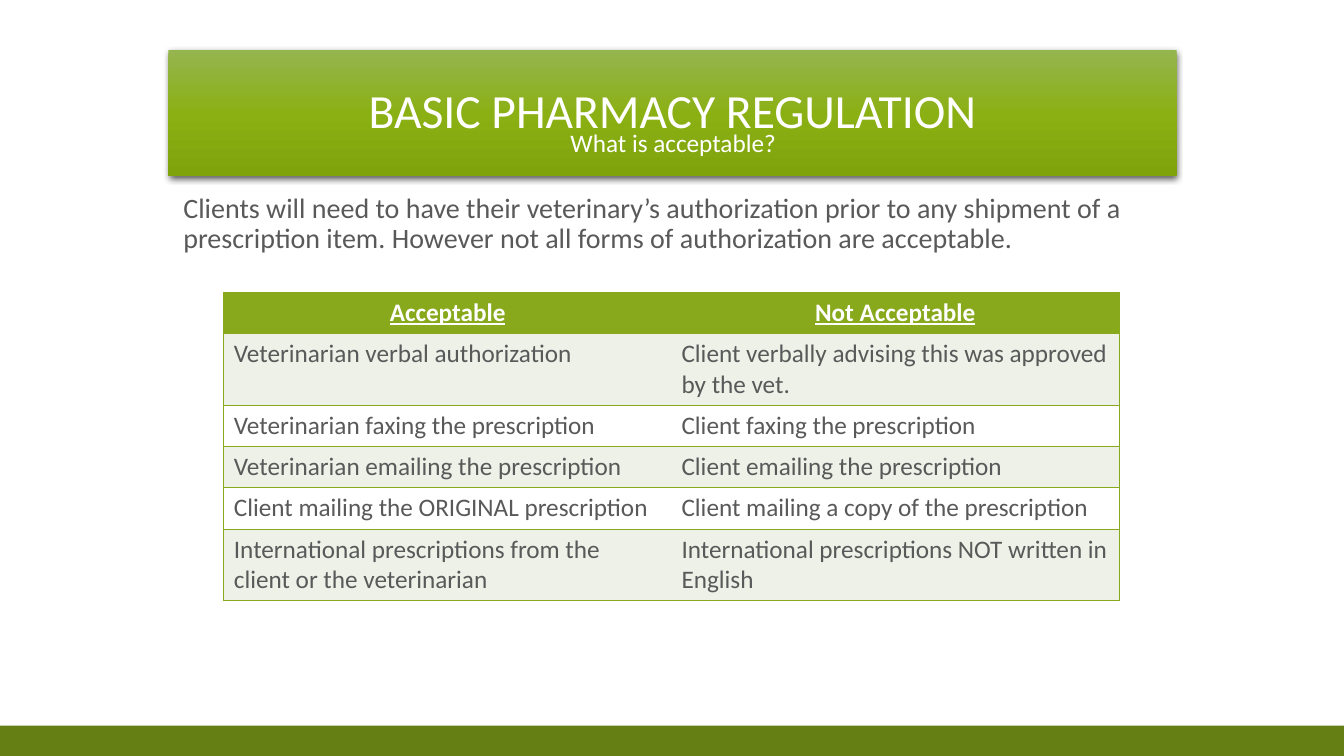
import pptx
import pptx.util
import pptx.dml.color
import pptx.enum.shapes
import pptx.enum.text
import pptx.oxml
import pptx.oxml.ns
from pptx.util import Inches

TITLE = "BASIC PHARMACY REGULATION"
SUBTITLE = "What is acceptable?"
INTRODUCTION = (
    "Clients will need to have their veterinary’s authorization prior to any shipment "
    "of a prescription item. However not all forms of authorization are acceptable."
)
ROWS = [
    ("Acceptable", "Not Acceptable"),
    ("Veterinarian verbal authorization", "Client verbally advising this was approved by the vet."),
    ("Veterinarian faxing the prescription", "Client faxing the prescription"),
    ("Veterinarian emailing the prescription", "Client emailing the prescription"),
    ("Client mailing the ORIGINAL prescription", "Client mailing a copy of the prescription"),
    ("International prescriptions from the client or the veterinarian",
     "International prescriptions NOT written in English"),
]
TWO_LINE_ROWS = (1, 5)

THEME = {
    "font": "Calibri",
    "title_size": 34,
    "body_size": 20,
    "small_size": 18,
    "white": "FFFFFF",
    "text": "595959",
    "green": "87A91B",
    "band": "EDF1E8",
    "footer": "657F14",
    "gradient": [(0, "95B54E"), (50, "8BB014"), (100, "7FA30B")],
}

SLIDE_WIDTH, SLIDE_HEIGHT = 13.33, 7.5
FOOTER_HEIGHT = 0.3
CONTENT_LEFT, CONTENT_WIDTH = 1.67, 10
TABLE_LEFT, TABLE_TOP, COLUMN_WIDTH = 2.22, 2.9, 4.44
LINE_HEIGHT, TWO_LINE_HEIGHT = 0.41, 0.71
ALIGN = pptx.enum.text.PP_ALIGN


def color(name):
    return pptx.dml.color.RGBColor.from_string(THEME.get(name, name))


def drawing_xml(xml):
    return pptx.oxml.parse_xml(xml.replace(" ", f" {pptx.oxml.ns.nsdecls('a')} ", 1))


def write(text_frame, text, size, color_name, align=ALIGN.LEFT, bold=False, underline=False):
    text_frame.text = text
    text_frame.word_wrap = True
    paragraph = text_frame.paragraphs[0]
    paragraph.alignment = align
    font = paragraph.runs[0].font
    font.name = THEME["font"]
    font.size = pptx.util.Pt(THEME[size])
    font.color.rgb = color(color_name)
    font.bold = bold
    font.underline = underline
    return paragraph


def add_rectangle(slide, left, top, width, height):
    shape = slide.shapes.add_shape(
        pptx.enum.shapes.MSO_SHAPE.RECTANGLE,
        Inches(left), Inches(top), Inches(width), Inches(height))
    shape.line.fill.background()
    shape.shadow.inherit = False
    return shape


def add_text(slide, box, text, size, color_name):
    text_box = slide.shapes.add_textbox(*map(Inches, box))
    return write(text_box.text_frame, text, size, color_name)


def add_banner(slide):
    banner = add_rectangle(slide, CONTENT_LEFT, 0.5, CONTENT_WIDTH, 1.25)
    banner.fill.gradient()
    banner.fill.gradient_angle = 270
    properties = banner._element.spPr
    stops = properties.find(".//" + pptx.oxml.ns.qn("a:gsLst"))
    for stop in list(stops):
        stops.remove(stop)
    for position, value in THEME["gradient"]:
        stops.append(drawing_xml(
            f'<a:gs pos="{position * 1000}"><a:srgbClr val="{value}"/></a:gs>'))
    properties.find(pptx.oxml.ns.qn("a:effectLst")).append(drawing_xml(
        f'<a:outerShdw blurRad="{pptx.util.Pt(4.5)}" dist="{pptx.util.Pt(1.5)}" dir="5400000" '
        'rotWithShape="0"><a:srgbClr val="000000"><a:alpha val="63000"/></a:srgbClr></a:outerShdw>'))
    banner.text_frame.vertical_anchor = pptx.enum.text.MSO_ANCHOR.MIDDLE
    paragraph = write(banner.text_frame, TITLE, "title_size", "white", ALIGN.CENTER)
    paragraph.line_spacing = 0.9


def set_borders(cell, visible_sides):
    for side in "LRTB":
        fill = (f'<a:solidFill><a:srgbClr val="{THEME["green"]}"/></a:solidFill>'
                if side in visible_sides else "<a:noFill/>")
        cell._tc.get_or_add_tcPr().append(drawing_xml(
            f'<a:ln{side} w="{pptx.util.Pt(1)}">{fill}</a:ln{side}>'))


def add_authorization_table(slide):
    heights = [TWO_LINE_HEIGHT if index in TWO_LINE_ROWS else LINE_HEIGHT
               for index in range(len(ROWS))]
    table = slide.shapes.add_table(
        len(ROWS), 2, Inches(TABLE_LEFT), Inches(TABLE_TOP),
        Inches(2 * COLUMN_WIDTH), Inches(sum(heights))).table
    table.horz_banding = False
    for column in table.columns:
        column.width = Inches(COLUMN_WIDTH)
    for row_index, texts in enumerate(ROWS):
        table.rows[row_index].height = Inches(heights[row_index])
        header = row_index == 0
        fill_name = "green" if header else "band" if row_index % 2 else "white"
        for column_index, text in enumerate(texts):
            cell = table.cell(row_index, column_index)
            set_borders(cell, "TB" + "LR"[column_index])
            cell.fill.solid()
            cell.fill.fore_color.rgb = color(fill_name)
            write(cell.text_frame, text, "small_size", "white" if header else "text",
                  ALIGN.CENTER if header else ALIGN.LEFT, header, header)


def main():
    presentation = pptx.Presentation()
    presentation.slide_width = Inches(SLIDE_WIDTH)
    presentation.slide_height = Inches(SLIDE_HEIGHT)
    slide = presentation.slides.add_slide(presentation.slide_layouts[6])

    footer = add_rectangle(
        slide, 0, SLIDE_HEIGHT - FOOTER_HEIGHT, SLIDE_WIDTH, FOOTER_HEIGHT)
    footer.fill.solid()
    footer.fill.fore_color.rgb = color("footer")

    add_banner(slide)
    add_text(slide, (5.56, 1.21, 4.2, 0.4), SUBTITLE, "small_size", "white")
    introduction = add_text(
        slide, (CONTENT_LEFT, 1.88, CONTENT_WIDTH, 0.9), INTRODUCTION, "body_size", "text")
    introduction.line_spacing = 0.9
    introduction._p.get_or_add_pPr().set("marL", str(Inches(0.05)))
    add_authorization_table(slide)
    presentation.save("out.pptx")


if __name__ == "__main__":
    main()
